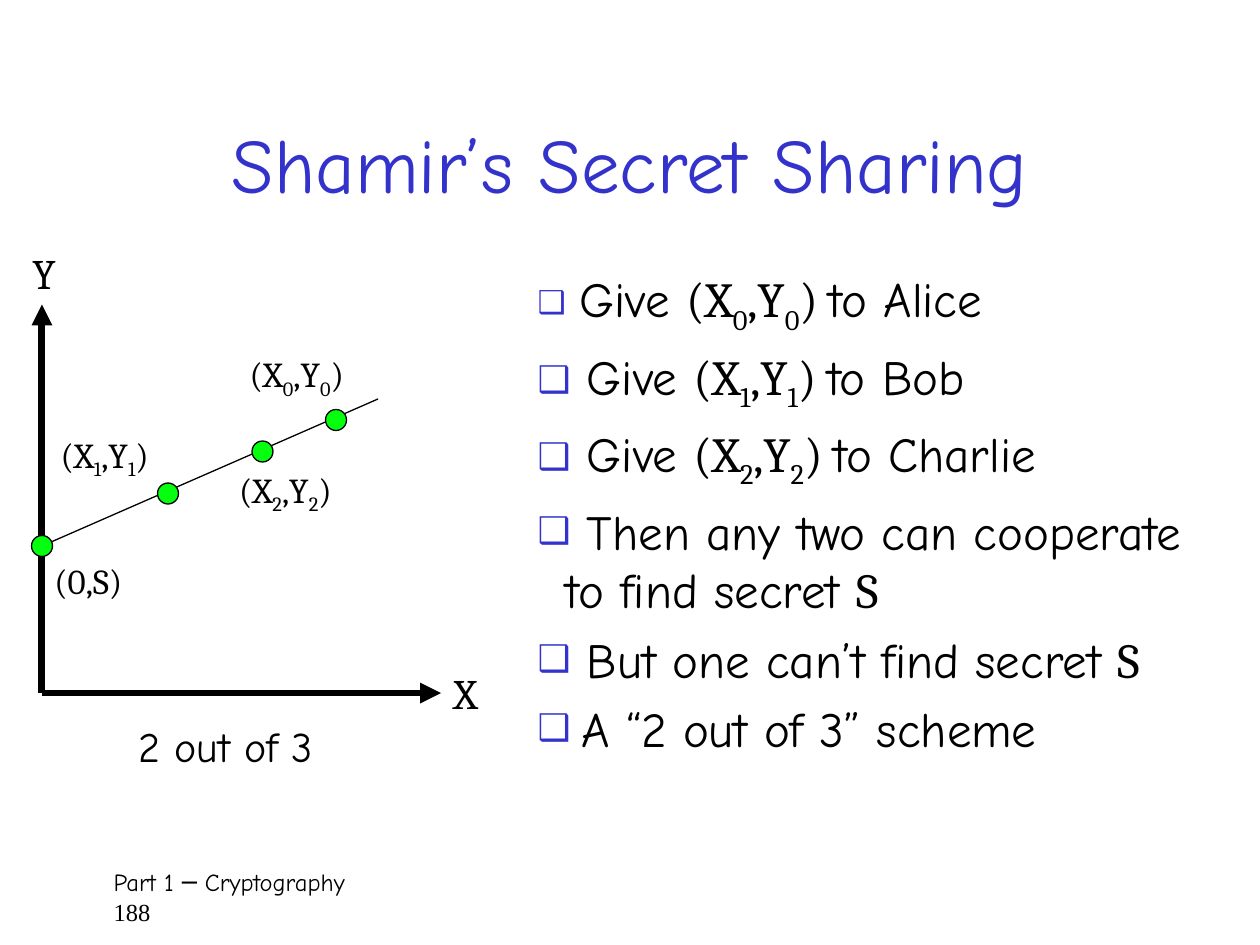
from itertools import zip_longest
from lxml.etree import SubElement
from pptx import Presentation
from pptx.dml.color import RGBColor
from pptx.enum.shapes import MSO_CONNECTOR, MSO_SHAPE
from pptx.enum.text import MSO_ANCHOR, MSO_AUTO_SIZE, PP_ALIGN
from pptx.oxml.ns import qn
from pptx.util import Pt

COLORS = {"ink": "000000", "accent": "3333CC", "share": "06FF0E"}
HAND, MATH, PLAIN = "Comic Neue", "Cambria", "Times New Roman"

TITLE = "Shamir’s Secret Sharing"
STEPS = [
    " $$Give $(X_0,Y_0) $to Alice",
    " Give $(X_1,Y_1) $to Bob",
    " Give $(X_2,Y_2) $to Charlie",
    " Then any two can cooperate to find secret $S",
    " But one can’t find secret $S",
    "$ $A “2 out of 3” scheme",
]
FOOTER = [("Part 1 ─ Cryptography", HAND), ("188", PLAIN)]
ORIGIN, X_END, Y_END = (24, 396), (252, 396), (24, 174)
SECRET_POINT, LINE_END = (24, 312), (216, 228)
SHARE_POINTS = [SECRET_POINT, (96, 282), (150, 258), (192, 240)]
DOT_SIZE = 12
GRAPH_LABELS = [
    ("$(X_0,Y_0)", 20, (135.5, 198, 74, 31)),
    ("$(X_1,Y_1)", 20, (27.5, 244, 74, 31)),
    ("$(X_2,Y_2)", 20, (129.5, 264, 74, 31)),
    ("$(0,S)", 20, (24, 316, 58, 31)),
    ("$X", 24, (252, 378, 30, 36)),
    ("$Y", 24, (11.5, 138, 30, 36)),
    ("2 out of 3", 24, (72, 408, 127, 41)),
]


def rgb(name):
    """Return a palette colour."""
    return RGBColor.from_string(COLORS[name])


def write(paragraph, text, *, size, font=HAND, color="ink"):
    """Write text in which $ switches to the math font and _ lowers one character."""
    for index, passage in enumerate(text.split("$")):
        first, *lowered = passage.split("_")
        pieces = [(first, False)]
        for piece in lowered:
            pieces += [(piece[0], True), (piece[1:], False)]
        for piece, subscript in pieces:
            if not piece:
                continue
            run = paragraph.add_run()
            run.text = piece
            run.font.size = Pt(size)
            run.font.name = MATH if index % 2 else font
            run.font.color.rgb = rgb(color)
            if subscript:
                run.font._element.set("baseline", "-25000")


def place(shape, box):
    """Move a shape to a box given in points."""
    shape.left, shape.top, shape.width, shape.height = map(Pt, box)


def add_bullet(paragraph):
    """Give a paragraph a hollow square bullet and a hanging indent."""
    properties = paragraph._p.get_or_add_pPr()
    properties.set("marL", str(Pt(16)))
    properties.set("indent", str(-Pt(16)))
    tint = SubElement(properties, qn("a:buClr"))
    SubElement(tint, qn("a:srgbClr"), val=COLORS["accent"])
    SubElement(properties, qn("a:buSzPct"), val="75000")
    SubElement(properties, qn("a:buChar"), char="❑")
    paragraph.space_before = Pt(0)
    paragraph.space_after = Pt(6)


def add_line(slide, start, end, width, arrow=False):
    """Draw a straight line, with an arrowhead at its end if wanted."""
    line = slide.shapes.add_connector(
        MSO_CONNECTOR.STRAIGHT, *map(Pt, (*start, *end)))
    line.line.color.rgb = rgb("ink")
    line.line.width = Pt(width)
    if arrow:
        SubElement(line.line._get_or_add_ln(), qn("a:tailEnd"), type="triangle")
    SubElement(line._element.spPr, qn("a:effectLst"))


def add_dot(slide, x, y):
    """Mark one share on the graph."""
    dot = slide.shapes.add_shape(
        MSO_SHAPE.OVAL, Pt(x - DOT_SIZE / 2), Pt(y - DOT_SIZE / 2),
        Pt(DOT_SIZE), Pt(DOT_SIZE))
    dot.shadow.inherit = False
    dot.fill.solid()
    dot.fill.fore_color.rgb = rgb("share")
    dot.line.color.rgb = rgb("ink")
    dot.line.width = Pt(0.75)


def main():
    """Build the slide and save it."""
    deck = Presentation()
    deck.slide_width, deck.slide_height = Pt(720), Pt(540)
    slide = deck.slides.add_slide(deck.slide_layouts[1])

    title = slide.shapes.title
    place(title, (54, 48, 612, 90))
    title.text_frame.vertical_anchor = MSO_ANCHOR.MIDDLE
    title.text_frame.auto_size = MSO_AUTO_SIZE.NONE
    heading = title.text_frame.paragraphs[0]
    heading.alignment = PP_ALIGN.CENTER
    write(heading, TITLE, size=44, color="accent")

    steps = slide.placeholders[1]
    place(steps, (300, 150, 408, 275))
    steps.text_frame.auto_size = MSO_AUTO_SIZE.NONE
    for paragraph, step in zip_longest(steps.text_frame.paragraphs, STEPS):
        paragraph = paragraph or steps.text_frame.add_paragraph()
        add_bullet(paragraph)
        write(paragraph, step, size=28)
    steps.text_frame.paragraphs[0].runs[0].font.size = Pt(24)

    add_line(slide, ORIGIN, X_END, 4, arrow=True)
    add_line(slide, ORIGIN, Y_END, 4, arrow=True)
    add_line(slide, SECRET_POINT, LINE_END, 0.75)
    for point in SHARE_POINTS:
        add_dot(slide, *point)
    for text, size, box in GRAPH_LABELS:
        label = slide.shapes.add_textbox(*map(Pt, box)).text_frame
        label.word_wrap = False
        label.auto_size = MSO_AUTO_SIZE.SHAPE_TO_FIT_TEXT
        write(label.paragraphs[0], text, size=size)

    footer = slide.shapes.add_textbox(*map(Pt, (54, 492, 618, 36))).text_frame
    footer.word_wrap = True
    footer.margin_left = Pt(11)
    for paragraph, (text, font) in zip_longest(footer.paragraphs, FOOTER):
        paragraph = paragraph or footer.add_paragraph()
        write(paragraph, text, size=14, font=font)

    deck.save("out.pptx")


if __name__ == "__main__":
    main()
